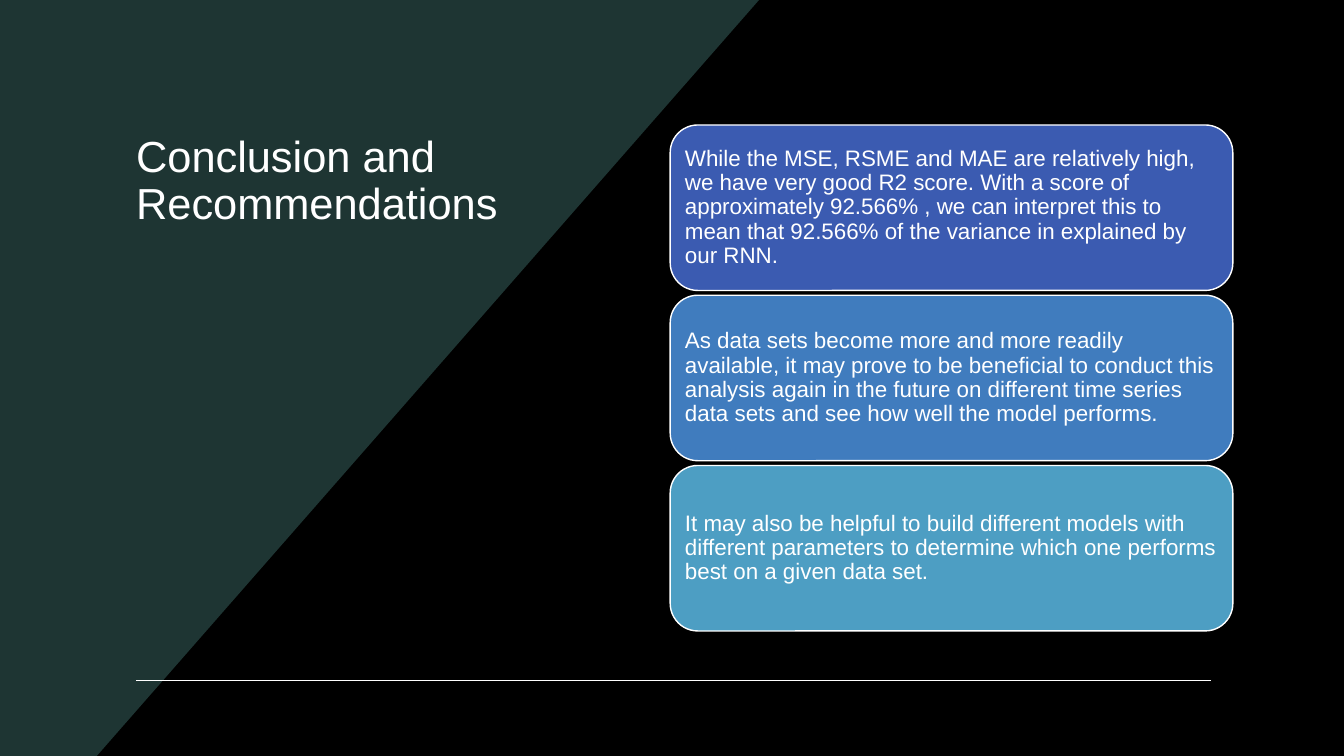
from lxml import etree
from pptx import Presentation
from pptx.dml.color import RGBColor
from pptx.enum.shapes import MSO_CONNECTOR, MSO_SHAPE
from pptx.enum.text import MSO_ANCHOR, PP_ALIGN
from pptx.oxml.ns import qn
from pptx.util import Cm, Pt

ROUNDED = MSO_SHAPE.ROUNDED_RECTANGLE
STRAIGHT = MSO_CONNECTOR.STRAIGHT
TOP, MIDDLE = MSO_ANCHOR.TOP, MSO_ANCHOR.MIDDLE
LEFT = PP_ALIGN.LEFT

SLIDE_WIDTH, SLIDE_HEIGHT = 33.87, 19.05
FONT = "Arial"
BLACK, WHITE, DARK_GREEN = "000000", "FFFFFF", "1E3533"
TITLE = "Conclusion and Recommendations"
CARDS = [
    ("3B5BB1", "While the MSE, RSME and MAE are relatively high, we have very good "
               "R2 score. With a score of approximately 92.566% , we can interpret "
               "this to mean that 92.566% of the variance in explained by our RNN."),
    ("407CBE", "As data sets become more and more readily available, it may prove to "
               "be beneficial to conduct this analysis again in the future on "
               "different time series data sets and see how well the model performs."),
    ("4D9EC3", "It may also be helpful to build different models with different "
               "parameters to determine which one performs best on a given data set."),
]


def color(hex_string):
    return RGBColor.from_string(hex_string)


def write(shape, text, size, anchor):
    frame = shape.text_frame
    frame.word_wrap = True
    frame.vertical_anchor = anchor
    frame.text = text
    para = frame.paragraphs[0]
    para.alignment = LEFT
    para.line_spacing = 0.9
    span = para.runs[0]
    span.font.name = FONT
    span.font.size = Pt(size)
    span.font.color.rgb = color(WHITE)


def add_backdrop(page, left, top, width, height):
    """Black page with a green area whose right edge slants to the lower left."""
    page.background.fill.solid()
    page.background.fill.fore_color.rgb = color(BLACK)
    corners = [(left + width, top), (left + 2.44, top + height), (left, top + height)]
    builder = page.shapes.build_freeform(Cm(left), Cm(top))
    builder.add_line_segments([(Cm(x), Cm(y)) for x, y in corners], close=True)
    wedge = builder.convert_to_shape()
    wedge.shadow.inherit = False
    wedge.fill.solid()
    wedge.fill.fore_color.rgb = color(DARK_GREEN)
    wedge.line.fill.background()


def add_title(page, left, top, width, height):
    box = page.shapes.add_textbox(Cm(left), Cm(top), Cm(width), Cm(height))
    write(box, TITLE, 31, TOP)


def add_rule(page, left, top, width):
    rule = page.shapes.add_connector(
        STRAIGHT, Cm(left), Cm(top), Cm(left + width), Cm(top))
    rule.line.color.rgb = color(WHITE)
    rule.line.width = Pt(1)
    etree.SubElement(rule._element.spPr, qn("a:effectLst"))


def add_cards(page, left, top, width, height, gap=0.12):
    """Stack of equal cards filling the given box."""
    card_height = (height - gap * (len(CARDS) - 1)) / len(CARDS)
    for index, (fill, text) in enumerate(CARDS):
        card_top = top + index * (card_height + gap)
        card = page.shapes.add_shape(
            ROUNDED, Cm(left), Cm(card_top), Cm(width), Cm(card_height))
        card.shadow.inherit = False
        card.fill.solid()
        card.fill.fore_color.rgb = color(fill)
        card.line.color.rgb = color(WHITE)
        card.line.width = Pt(1)
        frame = card.text_frame
        frame.margin_left = frame.margin_right = Cm(0.17)
        frame.margin_top = frame.margin_bottom = Cm(0.17)
        write(card, text, 16, MIDDLE)


def main():
    deck = Presentation()
    deck.slide_width, deck.slide_height = Cm(SLIDE_WIDTH), Cm(SLIDE_HEIGHT)
    page = deck.slides.add_slide(deck.slide_layouts[6])
    add_backdrop(page, 0, 0, 19.13, SLIDE_HEIGHT)
    add_title(page, 3.18, 3.28, 9.8, 4.34)
    add_rule(page, 3.43, 17.15, 27.1)
    add_cards(page, 16.89, 3.15, 14.18, 12.75)
    deck.save("out.pptx")


if __name__ == "__main__":
    main()
